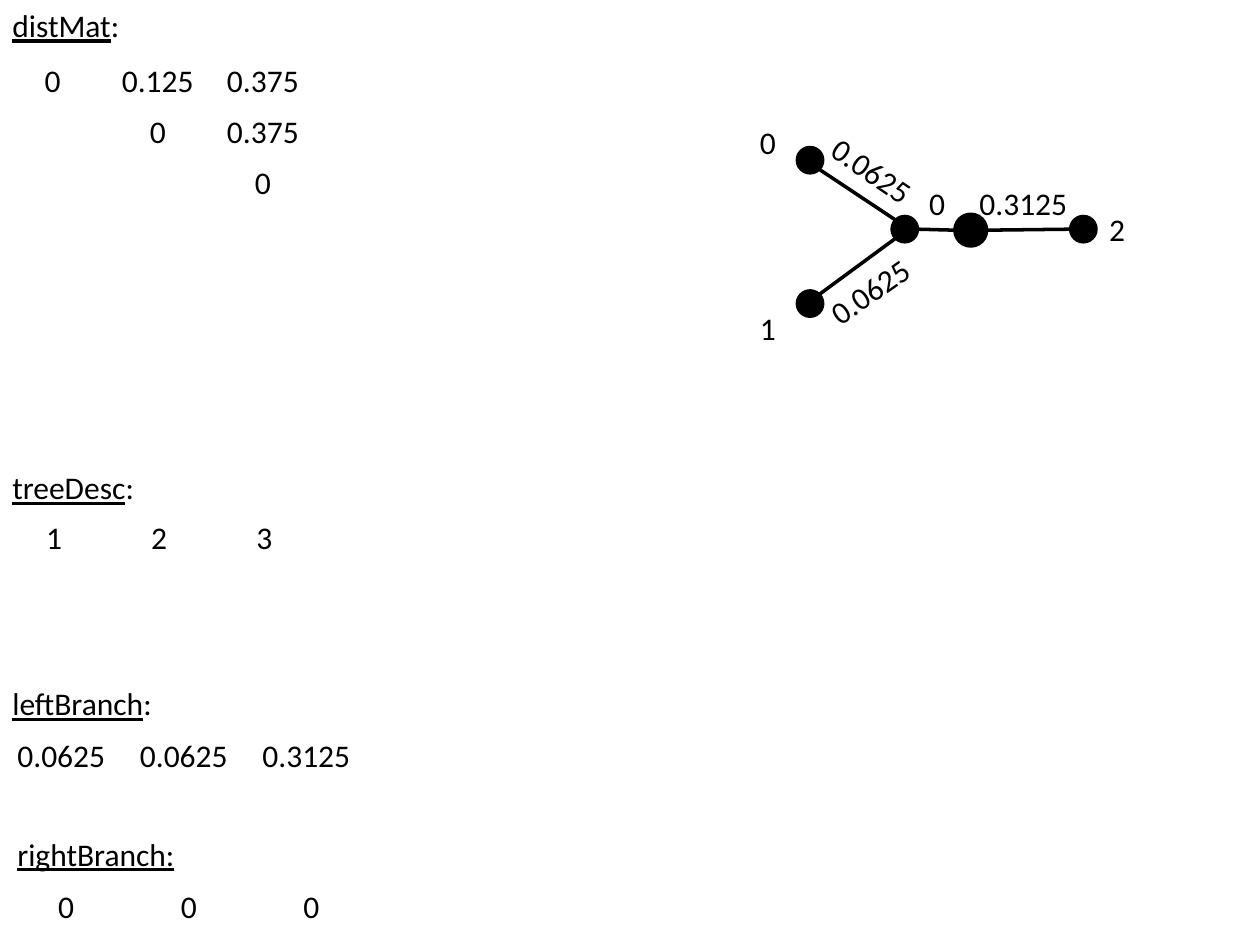
from math import cos, radians, sin

from lxml.etree import SubElement
from pptx import Presentation
from pptx.dml.color import RGBColor
from pptx.enum.shapes import MSO_CONNECTOR as Connector, MSO_SHAPE as Shape
from pptx.enum.text import MSO_AUTO_SIZE as AutoSize, MSO_ANCHOR as Anchor, PP_ALIGN as Align
from pptx.oxml.ns import qn
from pptx.util import Cm, Pt

BLACK = RGBColor(0, 0, 0)


def write(frame, text, align=Align.CENTER, underlined=0, font="Calibri", size=18, color=BLACK):
    para = frame.paragraphs[0]
    para.alignment = align
    for part, underline in ((text[:underlined], True), (text[underlined:], False)):
        if part:
            span = para.add_run()
            span.text = part
            span.font.name = font
            span.font.size = Pt(size)
            span.font.color.rgb = color
            span.font.underline = underline


class Page:
    line_width = Pt(2)
    text_height = 1.02

    def __init__(self, deck):
        self.shapes = deck.slides.add_slide(deck.slide_layouts[6]).shapes

    def label(self, text, left, top, width, rotation=0, **style):
        box = self.shapes.add_textbox(Cm(left), Cm(top), Cm(width), Cm(self.text_height))
        box.rotation = rotation
        box.text_frame.word_wrap = False
        box.text_frame.auto_size = AutoSize.SHAPE_TO_FIT_TEXT
        write(box.text_frame, text, **style)

    def heading(self, text, left, top, width, underlined):
        self.label(text, left, top, width, align=Align.LEFT, underlined=underlined)

    def table(self, rows, left, top, column_width, row_height):
        columns = len(rows[0])
        table = self.shapes.add_table(
            len(rows), columns, Cm(left), Cm(top),
            Cm(column_width * columns), Cm(row_height * len(rows))).table
        table.first_row = False
        table.horz_banding = False
        for row_index, row in enumerate(rows):
            for column_index, value in enumerate(row):
                cell = table.cell(row_index, column_index)
                cell.fill.background()
                cell.vertical_anchor = Anchor.TOP
                write(cell.text_frame, value)

    def node(self, x, y, diameter):
        radius = diameter / 2
        circle = self.shapes.add_shape(
            Shape.OVAL, Cm(x - radius), Cm(y - radius), Cm(diameter), Cm(diameter))
        circle.shadow.inherit = False
        circle.fill.solid()
        circle.fill.fore_color.rgb = BLACK
        circle.line.color.rgb = BLACK
        circle.line.width = self.line_width

    def branch(self, start, end):
        line = self.shapes.add_connector(
            Connector.STRAIGHT, *(Cm(value) for value in (*start, *end)))
        line.line.color.rgb = BLACK
        line.line.width = self.line_width
        SubElement(line._element.spPr, qn("a:effectLst"))


def rim(node, angle):
    x, y, diameter = node
    return x + diameter / 2 * cos(radians(angle)), y + diameter / 2 * sin(radians(angle))


deck = Presentation()
deck.slide_width, deck.slide_height = Cm(25.4), Cm(19.05)
page = Page(deck)

SECTIONS = [
    ("distMat:", 7, (0, 0, 2.69), (0, 1.14, 2.12, 1.02),
     [["0", "0.125", "0.375"], ["", "0", "0.375"], ["", "", "0"]]),
    ("treeDesc:", 8, (0, 9.32, 3), (0.03, 10.34, 2.12, 1.03), [["1", "2", "3"]]),
    ("leftBranch:", 10, (0, 13.67, 3.38), (0, 14.73, 2.47, 1.03),
     [["0.0625", "0.0625", "0.3125"]]),
    ("rightBranch:", 12, (0.1, 16.71, 3.71), (0.1, 17.78, 2.47, 1.03), [["0", "0", "0"]]),
]
for title, underlined, title_place, table_place, rows in SECTIONS:
    page.heading(title, *title_place, underlined)
    page.table(rows, *table_place)

NODES = {
    "leaf 0": (16.33, 3.23, 0.51),
    "leaf 1": (16.33, 6.12, 0.51),
    "leaf 2": (21.84, 4.62, 0.51),
    "inner": (18.24, 4.62, 0.51),
    "root": (19.57, 4.64, 0.64),
}
for node in NODES.values():
    page.node(*node)

BRANCHES = [
    ("leaf 0", 45, "inner", 225),
    ("leaf 1", -45, "inner", 135),
    ("root", 180, "inner", 0),
    ("leaf 2", 180, "root", 0),
]
for start, start_angle, end, end_angle in BRANCHES:
    page.branch(rim(NODES[start], start_angle), rim(NODES[end], end_angle))

LABELS = [
    ("0", 18.47, 3.58, 0.84, 0),
    ("0.3125", 19.48, 3.58, 2.3, 0),
    ("0.0625", 16.43, 2.92, 2.3, 34.4),
    ("0.0625", 16.38, 5.36, 2.3, 325.2),
    ("0", 15.06, 2.36, 0.84, 0),
    ("1", 15.06, 6.1, 0.84, 0),
    ("2", 22.1, 4.11, 0.84, 0),
]
for label in LABELS:
    page.label(*label)

deck.save("out.pptx")
